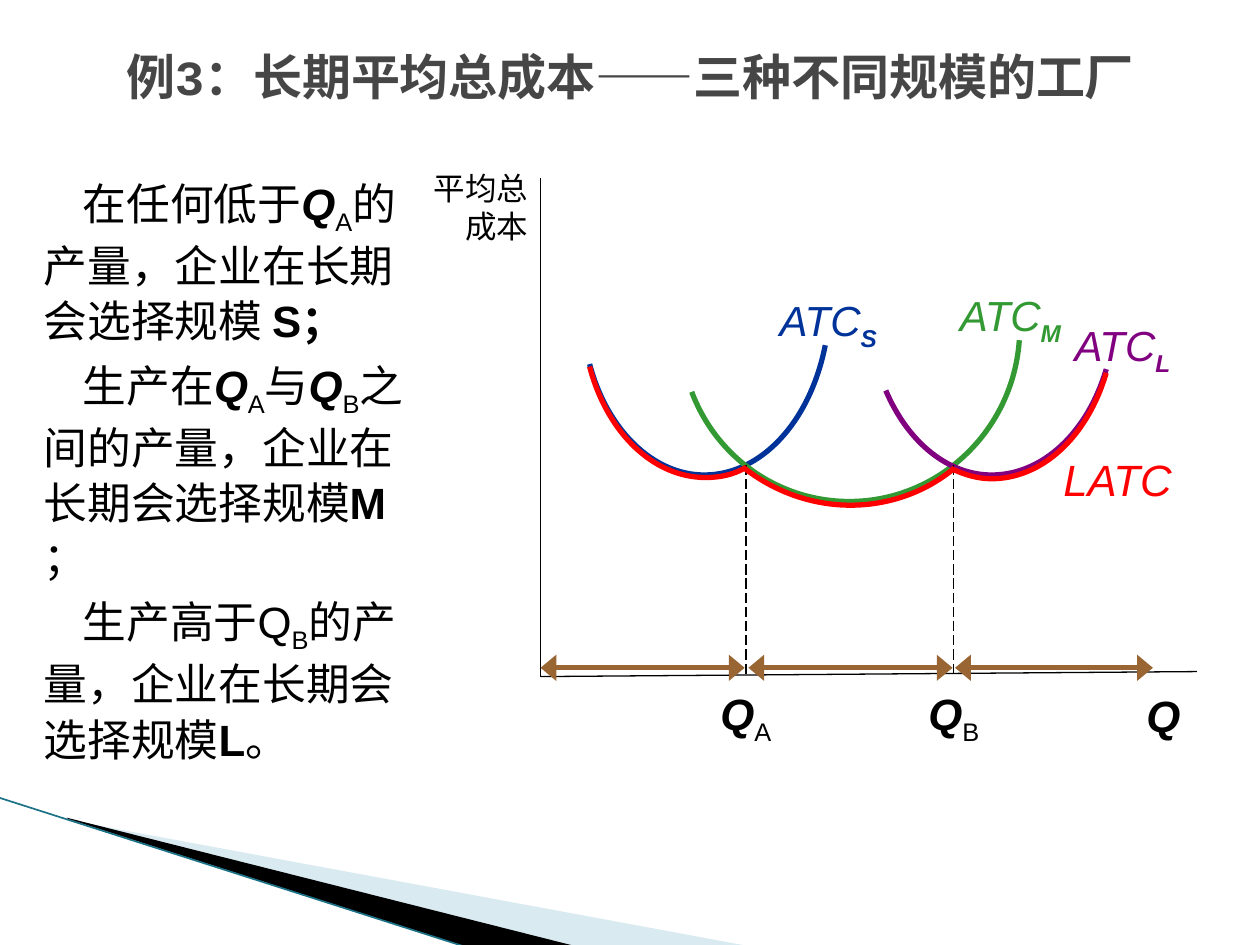
from lxml.etree import SubElement
from pptx import Presentation
from pptx.dml.color import RGBColor
from pptx.enum.dml import MSO_LINE
from pptx.enum.shapes import MSO_CONNECTOR
from pptx.enum.text import MSO_ANCHOR, PP_ALIGN
from pptx.oxml.ns import qn
from pptx.util import Inches, Pt

BLACK, RED, BROWN, TEAL = "000000", "FF0000", "996633", "1B7186"
BLUE, GREEN, PURPLE = "003399", "339933", "800080"


def color(value):
    return RGBColor.from_string(value)


def add_text(slide, left, top, width, height, paragraphs, size=25, font="Arial",
             fill=BLACK, align=PP_ALIGN.LEFT, anchor=MSO_ANCHOR.TOP,
             line_spacing=None, space_before=0, indent=0):
    shape = slide.shapes.add_textbox(Inches(left), Inches(top), Inches(width), Inches(height))
    frame = shape.text_frame
    frame.word_wrap = True
    frame.vertical_anchor = anchor
    for index, runs in enumerate(paragraphs):
        paragraph = frame.paragraphs[0] if index == 0 else frame.add_paragraph()
        paragraph.alignment = align
        if line_spacing:
            paragraph.line_spacing = line_spacing
        if index:
            paragraph.space_before = Pt(space_before)
        if indent:
            paragraph._p.get_or_add_pPr().set("indent", str(Inches(indent)))
        for text, style in runs:
            run = paragraph.add_run()
            run.text = text
            run.font.name = font
            run.font.size = Pt(size)
            run.font.color.rgb = color(fill)
            run.font.bold = "b" in style
            run.font.italic = "i" in style
            if "_" in style:
                run._r.get_or_add_rPr().set("baseline", "-25000")


def add_line(slide, x1, y1, x2, y2, stroke=BLACK, width=0.75, dash=None, arrows=False):
    line = slide.shapes.add_connector(
        MSO_CONNECTOR.STRAIGHT, Inches(x1), Inches(y1), Inches(x2), Inches(y2))
    line.line.color.rgb = color(stroke)
    line.line.width = Pt(width)
    if dash:
        line.line.dash_style = dash
    if arrows:
        for tag in ("a:headEnd", "a:tailEnd"):
            SubElement(line.line._get_or_add_ln(), qn(tag), type="triangle", w="lg", len="med")
    SubElement(line._element.spPr, qn("a:effectLst"))


def add_outline(slide, left, top, points, closed):
    places = [(Inches(left + x), Inches(top + y)) for x, y in points]
    builder = slide.shapes.build_freeform(*places[0])
    builder.add_line_segments(places[1:], close=closed)
    shape = builder.convert_to_shape()
    shape.shadow.inherit = False
    return shape


def add_polygon(slide, left, top, points, fill, alpha=None):
    shape = add_outline(slide, left, top, points, True)
    shape.fill.solid()
    shape.fill.fore_color.rgb = color(fill)
    shape.line.fill.background()
    if alpha:
        tint = shape._element.spPr.find(".//" + qn("a:srgbClr"))
        SubElement(tint, qn("a:alpha"), val=str(alpha * 1000))


def add_curve(slide, left, top, controls, stroke):
    shape = add_outline(slide, left, top, controls, False)
    segments = list(shape._element.spPr.iter(qn("a:lnTo")))
    outline = segments[0].getparent()
    for start in range(0, len(segments), 3):
        bezier = SubElement(outline, qn("a:cubicBezTo"))
        for segment in segments[start:start + 3]:
            bezier.append(segment[0])
            outline.remove(segment)
    shape.fill.background()
    shape.line.color.rgb = color(stroke)
    shape.line.width = Pt(3)


def add_corner(slide, left, top, width, height):
    add_polygon(slide, left, top,
                [(0.55, 0.18), (width, height), (4.56, height), (0.55, 0.17)],
                "A0CBDC", alpha=40)
    add_polygon(slide, left, top,
                [(0.53, 0.16), (4.57, height), (3.72, height + 0.01), (0.54, 0.17)], BLACK)
    add_line(slide, left - 0.01, top, left + 3.71, top + height + 0.01, TEAL, 0.95)


def add_title(slide, left, top, width, height):
    add_text(slide, left, top, width, height,
             [[("例3：长期平均总成本——三种不同规模的工厂", "b")]],
             size=28, font="Courier New", fill="464646",
             align=PP_ALIGN.CENTER, anchor=MSO_ANCHOR.MIDDLE)


def add_explanation(slide, left, top, width, height):
    paragraphs = [
        [("在任何低于", ""), ("Q", "bi"), ("A", "_"),
         ("的产量，企业在长期会选择规模 ", ""), ("S；", "b")],
        [("生产在", ""), ("Q", "bi"), ("A", "_"), ("与", ""), ("Q", "bi"), ("B", "_"),
         ("之间的产量，企业在长期会选择规模", ""), ("M ", "b"), ("；", "")],
        [("生产高于Q", ""), ("B", "_"),
         ("的产量，企业在长期会选择规模", ""), ("L", "b"), ("。", "")],
    ]
    add_text(slide, left, top, width, height, paragraphs,
             line_spacing=1.05, space_before=5, indent=0.31)


def add_cost_diagram(slide, left, top, width, height):
    plants = [
        ("S", BLUE, (1.8, 0.88),
         [(2.26, 1.33), (2.14, 1.94), (1.75, 2.36), (1.3, 2.36),
          (0.9, 2.36), (0.53, 2.01), (0.39, 1.48)]),
        ("M", GREEN, (3.23, 0.84),
         [(3.8, 1.29), (3.75, 2.01), (3.16, 2.57), (2.45, 2.57),
          (1.9, 2.57), (1.4, 2.23), (1.2, 1.7)]),
        ("L", PURPLE, (4.14, 1.08),
         [(4.49, 1.52), (4.34, 2.03), (3.98, 2.36), (3.58, 2.36),
          (3.24, 2.36), (2.92, 2.11), (2.74, 1.69)]),
    ]
    for name, stroke, (x, y), controls in plants:
        add_curve(slide, left, top, controls, stroke)
        add_text(slide, left + x, top + y, 1.07, 0.5,
                 [[("ATC", "i"), (name, "bi_")]], size=24, fill=stroke)

    bottom = top + height
    add_line(slide, left, top, left, bottom)
    add_line(slide, left, bottom, left + width, bottom - 0.04)
    add_text(slide, left + 4.71, bottom + 0.05, 0.59, 0.52, [[("Q", "bi")]])
    add_text(slide, left - 1.01, top - 0.12, 1.01, 0.71,
             [[("平均总成本", "")]], size=18, align=PP_ALIGN.RIGHT)

    for name, x in (("A", 1.63), ("B", 3.28)):
        add_line(slide, left + x, top + 2.28, left + x, bottom - 0.01, dash=MSO_LINE.LONG_DASH)
        add_text(slide, left + x - 0.3, bottom + 0.03, 0.7, 0.52,
                 [[("Q", "bi"), (name, "_")]])

    long_run = [
        [(1.63, 2.3), (1.53, 2.36), (1.42, 2.38), (1.31, 2.38),
         (0.9, 2.38), (0.53, 2.03), (0.39, 1.5)],
        [(3.28, 2.31), (3.05, 2.5), (2.76, 2.6), (2.46, 2.6),
         (2.15, 2.6), (1.85, 2.49), (1.61, 2.3)],
        [(4.49, 1.55), (4.34, 2.06), (3.98, 2.39), (3.58, 2.39),
         (3.47, 2.39), (3.37, 2.36), (3.26, 2.31)],
    ]
    for controls in long_run:
        add_curve(slide, left, top, controls, RED)
    add_text(slide, left + 4.05, top + 2.13, 1.41, 0.52, [[("LATC", "i")]], fill=RED)

    for start, end in ((0, 1.62), (1.65, 3.27), (3.29, 4.86)):
        add_line(slide, left + start, bottom - 0.07, left + end, bottom - 0.07,
                 BROWN, 3, arrows=True)


def main():
    presentation = Presentation()
    presentation.slide_width = Inches(10)
    presentation.slide_height = Inches(7.5)
    slide = presentation.slides.add_slide(presentation.slide_layouts[6])
    add_corner(slide, 0, 6.33, 5.95, 1.18)
    add_title(slide, 0, 0.28, 10, 0.65)
    add_cost_diagram(slide, 4.29, 1.41, 5.21, 3.96)
    add_explanation(slide, 0.25, 1.33, 3.08, 5.95)
    presentation.save("out.pptx")


if __name__ == "__main__":
    main()
